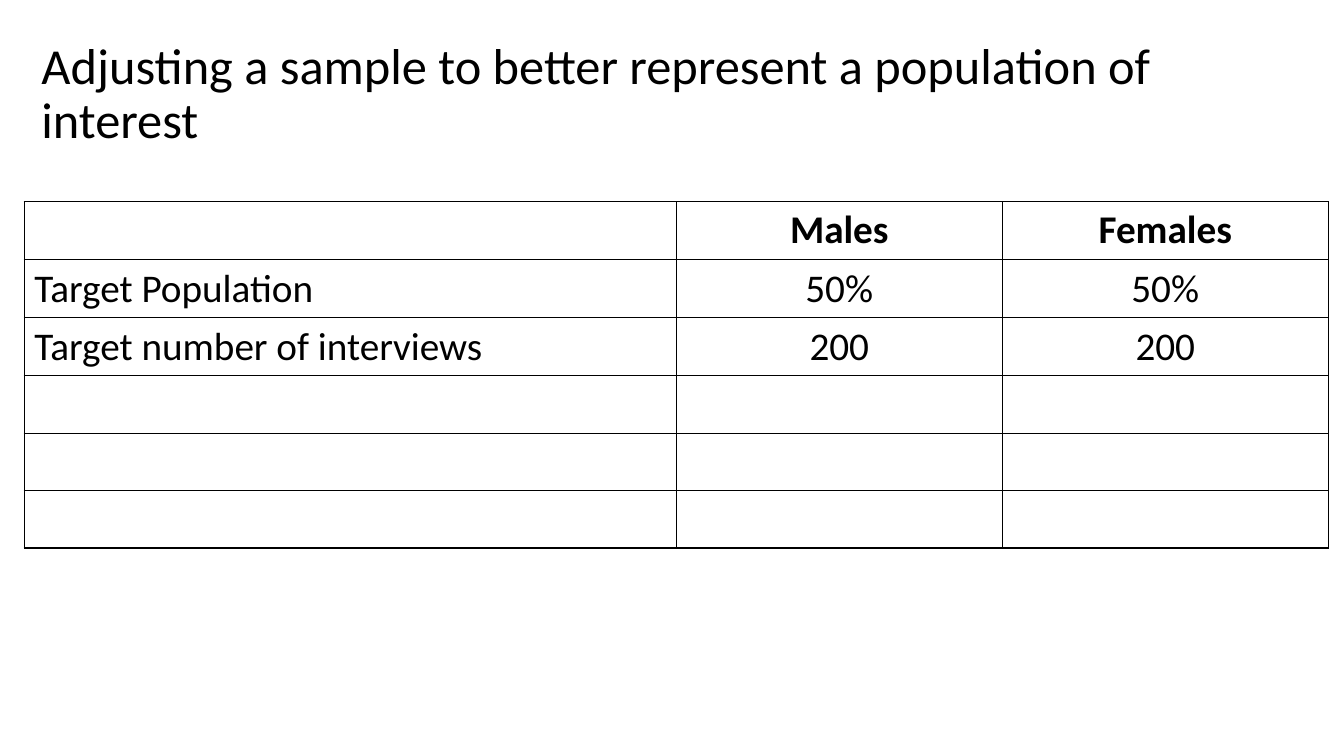
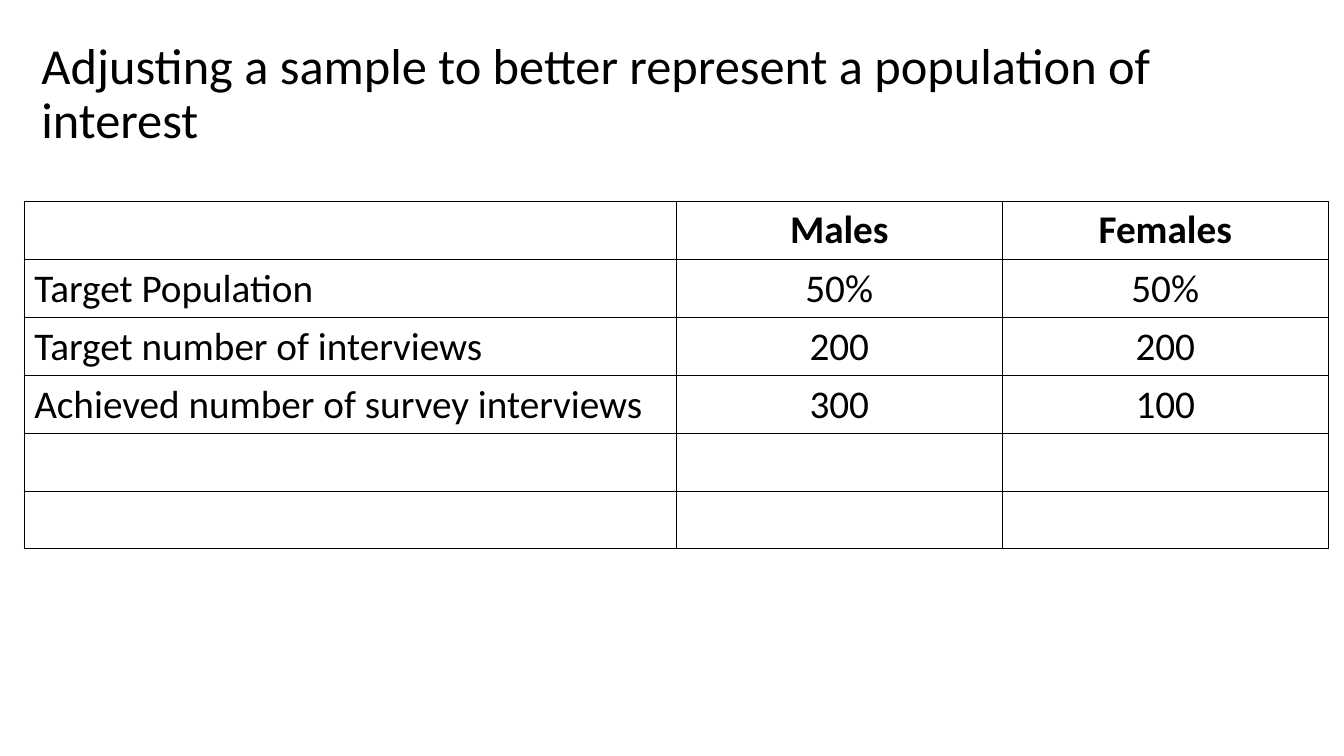
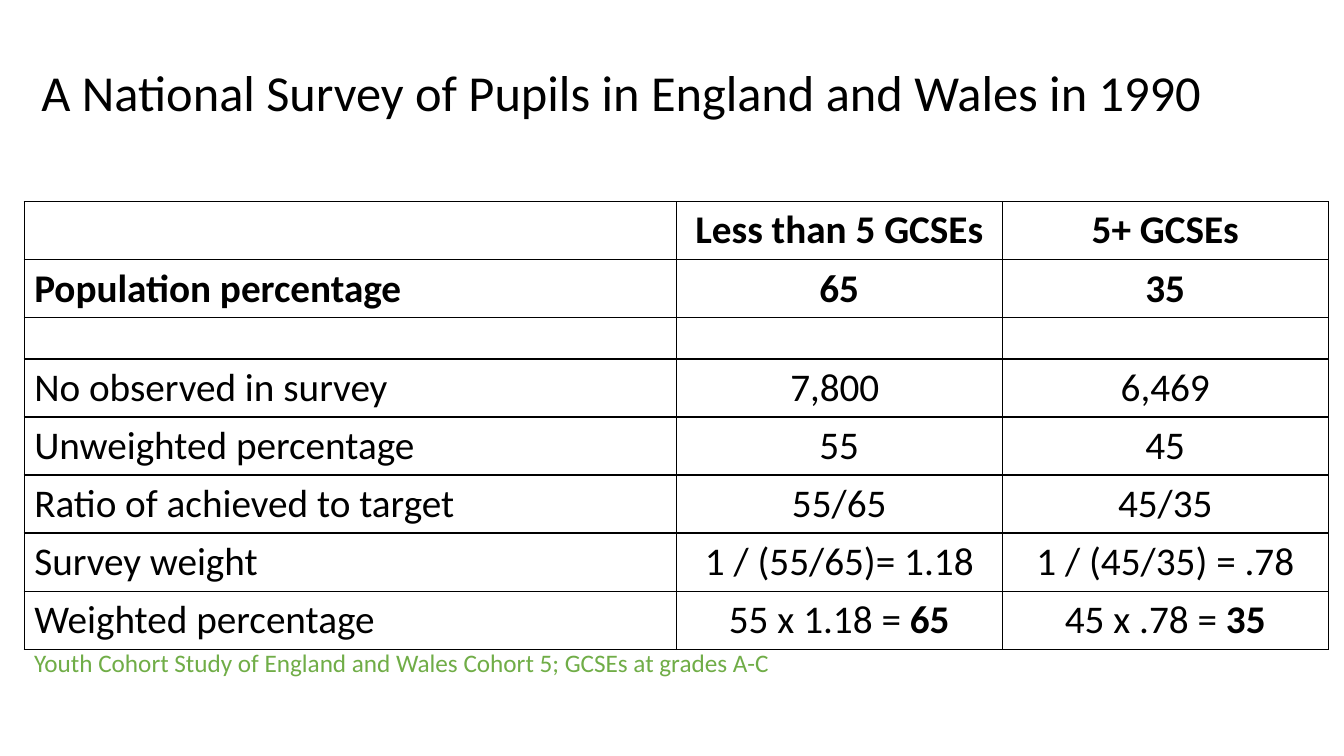
"""Build three slides on weighting a survey sample."""
from lxml.etree import SubElement
from pptx import Presentation
from pptx.dml.color import RGBColor
from pptx.enum.text import MSO_ANCHOR as Anchor, MSO_AUTO_SIZE as AutoSize, PP_ALIGN as Align
from pptx.oxml.ns import qn
from pptx.util import Inches, Pt

COLOURS = {"text": "000000", "border": "000000", "source": "70AD47"}
FONT = "Calibri"
BLANK = ("", "", "")


def write(paragraph, text, size=28, colour="text", align=Align.LEFT, spacing=None):
    paragraph.alignment = align
    if spacing:
        paragraph.line_spacing = spacing
    for index, part in enumerate(text.split("**")):
        if part:
            run = paragraph.add_run()
            run.text = part
            run.font.name = FONT
            run.font.size = Pt(size)
            run.font.bold = index % 2 == 1
            run.font.color.rgb = RGBColor.from_string(COLOURS[colour])


class Deck:
    LEFT = 1.8
    TABLE_TOP = 26.67
    COLUMN = 24.26
    ROW = 7.6
    SHORT_ROW = 5.47

    def __init__(self):
        self.presentation = Presentation()
        self.presentation.slide_width = Inches(13.33)
        self.presentation.slide_height = Inches(7.5)
        self.slide = None

    def across(self, percent):
        return int(self.presentation.slide_width * percent / 100)

    def down(self, percent):
        return int(self.presentation.slide_height * percent / 100)

    def area(self, left, top, width, height):
        return self.across(left), self.down(top), self.across(width), self.down(height)

    def add_slide(self, title):
        layout = self.presentation.slide_layouts[5]
        self.slide = self.presentation.slides.add_slide(layout)
        shape = self.slide.shapes.title
        shape.left, shape.top, shape.width, shape.height = self.area(2.33, 2.93, 96.45, 19.33)
        frame = shape.text_frame
        frame.auto_size = AutoSize.NONE
        frame.vertical_anchor = Anchor.MIDDLE
        write(frame.paragraphs[0], title, size=36, spacing=0.9)

    def add_borders(self, cell):
        properties = cell._tc.get_or_add_tcPr()
        for side in ("lnL", "lnR", "lnT", "lnB"):
            line = SubElement(properties, qn(f"a:{side}"), w=str(Pt(1)))
            fill = SubElement(line, qn("a:solidFill"))
            SubElement(fill, qn("a:srgbClr"), val=COLOURS["border"])

    def add_table(self, rows, short_rows=()):
        heights = [self.SHORT_ROW if index in short_rows else self.ROW
                   for index in range(len(rows))]
        area = self.area(self.LEFT, self.TABLE_TOP, 4 * self.COLUMN, sum(heights))
        table = self.slide.shapes.add_table(len(rows), 3, *area).table
        table.first_row = table.horz_banding = False
        for column, span in zip(table.columns, (2, 1, 1)):
            column.width = self.across(span * self.COLUMN)
        for row, height, texts in zip(table.rows, heights, rows):
            row.height = self.down(height)
            for index, (cell, text) in enumerate(zip(row.cells, texts)):
                self.add_borders(cell)
                cell.fill.background()
                write(cell.text_frame.paragraphs[0], text,
                      align=Align.CENTER if index else Align.LEFT)

    def add_source(self, text):
        shape = self.slide.shapes.add_textbox(*self.area(self.LEFT, 84.93, 80, 5.33))
        frame = shape.text_frame
        frame.word_wrap = True
        frame.auto_size = AutoSize.SHAPE_TO_FIT_TEXT
        write(frame.paragraphs[0], text, size=18, colour="source")


def main():
    deck = Deck()
    targets = [
        ("", "**Males**", "**Females**"),
        ("Target Population", "50%", "50%"),
        ("Target number of interviews", "200", "200"),
    ]
    achieved = ("Achieved number of survey interviews", "300", "100")
    for fourth_row in (BLANK, achieved):
        deck.add_slide("Adjusting a sample to better represent a population of interest")
        deck.add_table([*targets, fourth_row, BLANK, BLANK])

    deck.add_slide("A National Survey of Pupils in England and Wales in 1990")
    deck.add_table([
        ("", "**Less than 5 GCSEs**", "**5+ GCSEs**"),
        ("**Population percentage**", "**65**", "**35**"),
        BLANK,
        ("No observed in survey", "7,800 ", "6,469"),
        ("Unweighted percentage", "55", "45"),
        ("Ratio of achieved to target", "55/65", "45/35"),
        ("Survey weight", "1 / (55/65)= 1.18", "1 / (45/35) = .78"),
        ("Weighted percentage", "55 x 1.18 = **65**", "45 x .78 = **35**"),
    ], short_rows=(2,))
    deck.add_source("Youth Cohort Study of England and Wales Cohort 5; GCSEs at grades A-C")
    deck.presentation.save("out.pptx")


if __name__ == "__main__":
    main()
